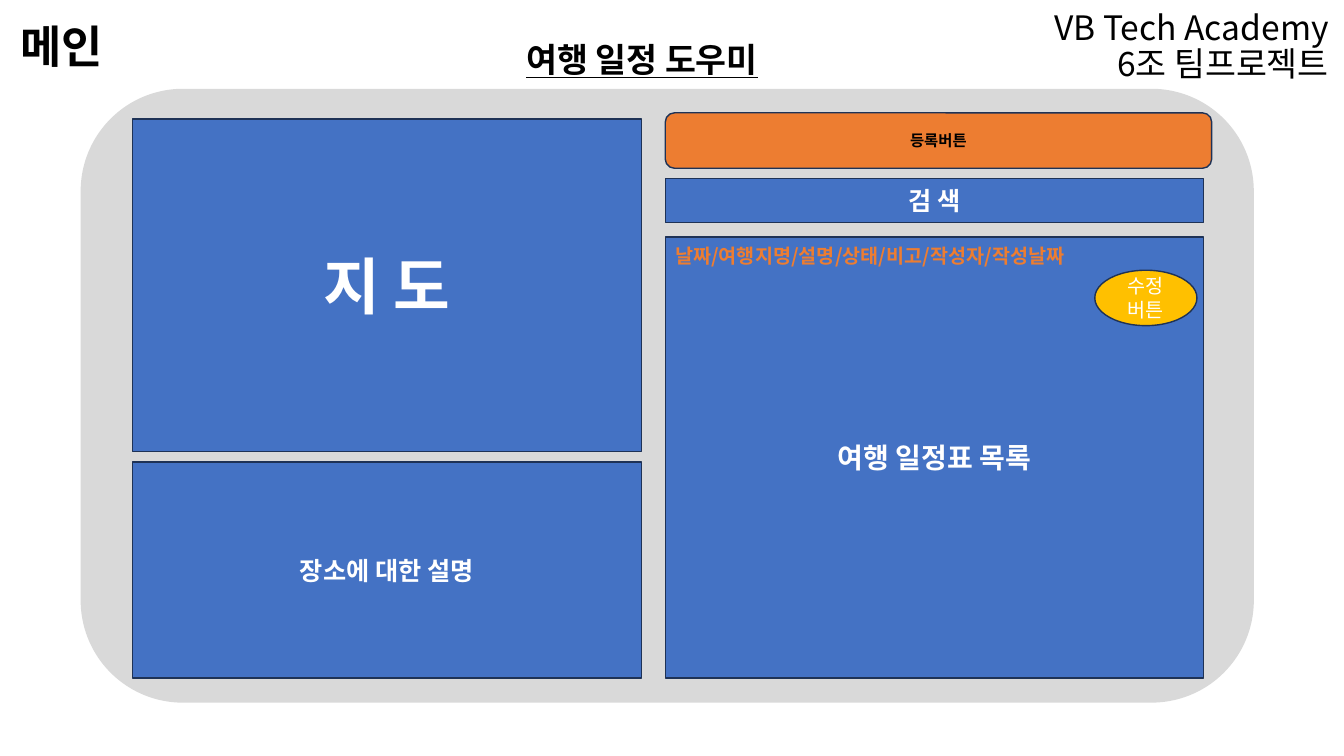
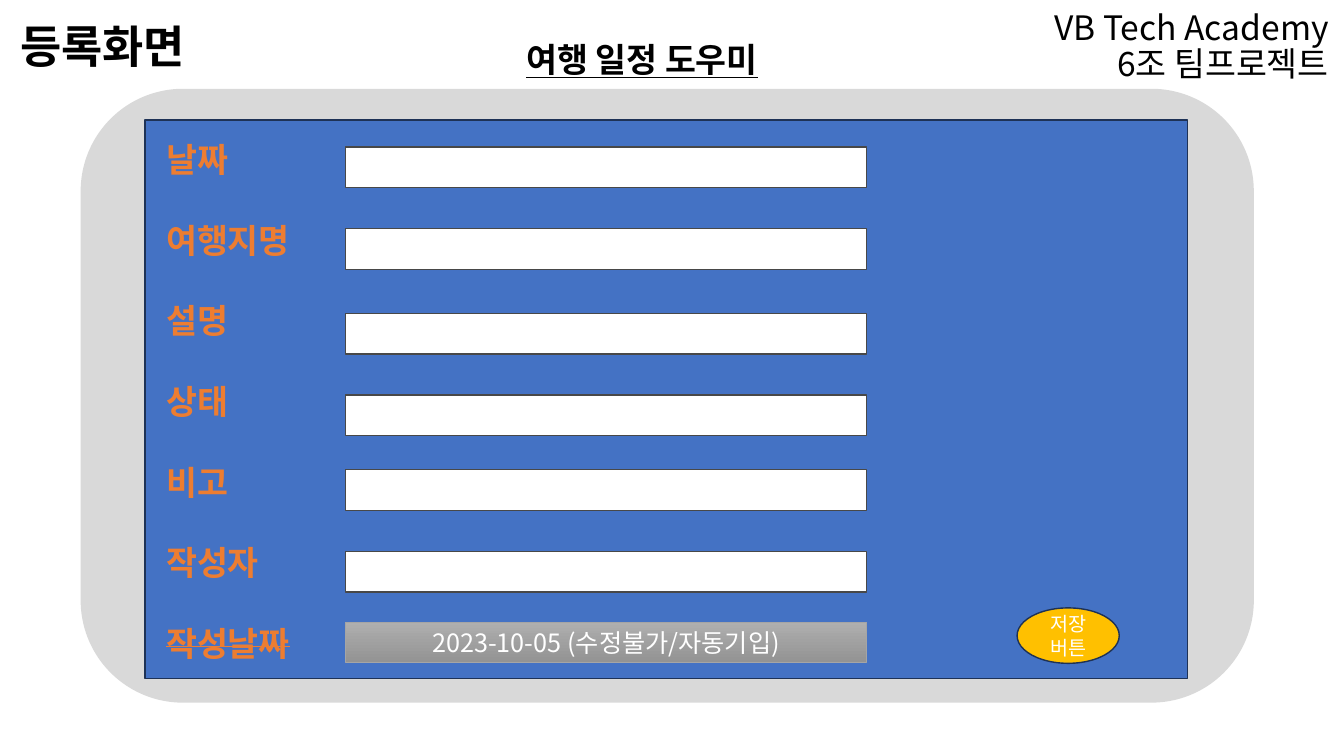
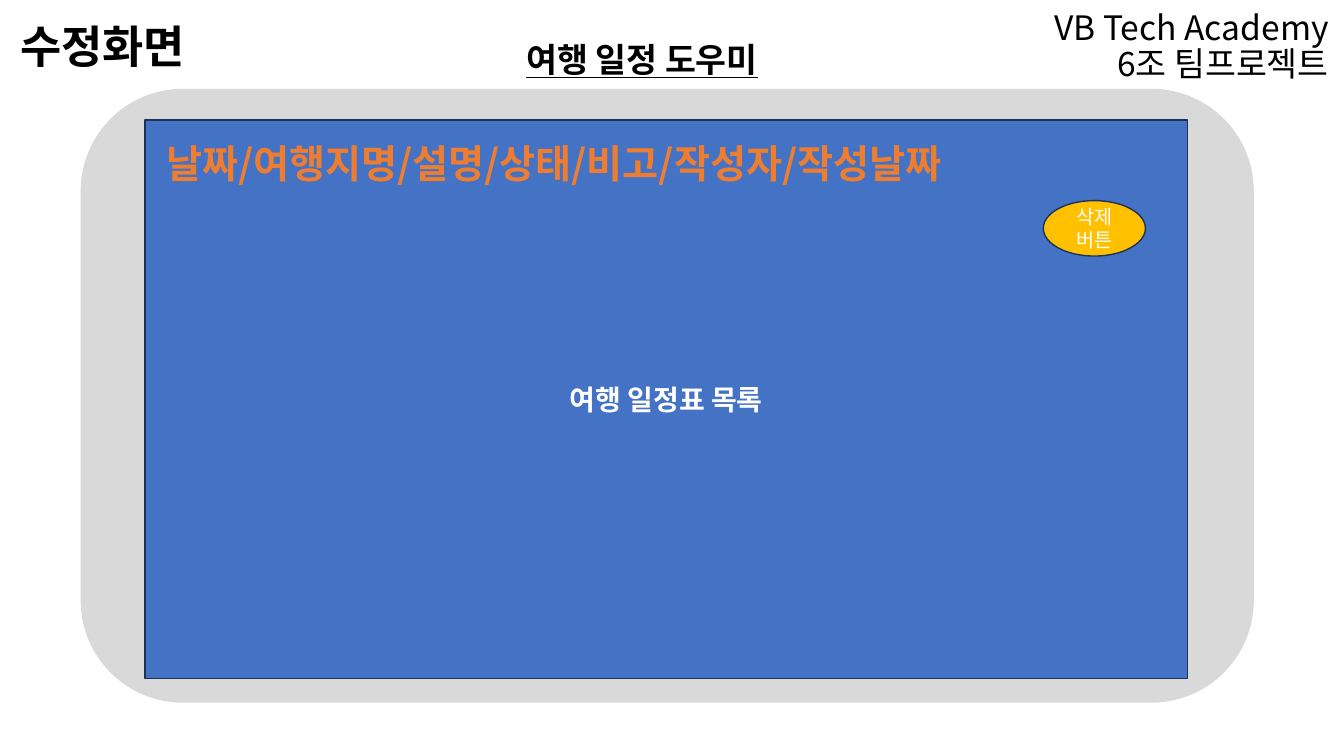
"""Build the three wireframe slides of a travel schedule helper."""
import dataclasses

import pptx
import pptx.dml.color
import pptx.enum.shapes
import pptx.enum.text
import pptx.oxml.ns
import pptx.util
from lxml import etree

Pt = pptx.util.Pt
SHAPE = pptx.enum.shapes.MSO_SHAPE
ALIGN = pptx.enum.text.PP_ALIGN
ANCHOR = pptx.enum.text.MSO_ANCHOR


@dataclasses.dataclass(frozen=True)
class Theme:
    font: str = "Noto Sans CJK KR"
    ink: str = "000000"
    white: str = "FFFFFF"
    backdrop: str = "D9D9D9"
    panel: str = "4472C4"
    outline: str = "1E3256"
    accent: str = "ED7D31"
    button: str = "FFC000"
    field_outline: str = "484848"
    locked: tuple = ("AFAFAF", "939393")
    locked_outline: str = "A5A5A5"
    screen_size: int = 32
    map_size: int = 44
    columns_size: int = 28
    header_size: int = 24
    list_size: int = 20
    body_size: int = 18
    small_size: int = 14
    register_size: int = 11


THEME = Theme()
COLUMNS = ("날짜", "여행지명", "설명", "상태", "비고", "작성자", "작성날짜")
FIELD_TOPS = (105.1, 163.4, 223.9, 282.2, 335.5, 393.8)
LOCKED_TOP = 444.2
FORM_PANEL = (103.7, 85.7, 744.5, 398.9)
LINE_HEIGHT = 1.2


def rgb(color):
    return pptx.dml.color.RGBColor.from_string(color)


def write(frame, text, size, color, bold=False, align=ALIGN.LEFT,
          anchor=ANCHOR.TOP, spacing=None, gap=0):
    """Fill a text frame with one paragraph per line of text."""
    frame.word_wrap = True
    frame.auto_size = pptx.enum.text.MSO_AUTO_SIZE.NONE
    frame.vertical_anchor = anchor
    frame.text = text
    for index, paragraph in enumerate(frame.paragraphs):
        paragraph.alignment = align
        if spacing:
            paragraph.line_spacing = spacing
        if gap and index:
            paragraph.space_before = Pt(gap)
        font = paragraph.font
        font.size = Pt(size)
        font.bold = bold
        font.color.rgb = rgb(color)
        font.name = THEME.font
        properties = paragraph._p.pPr.find(pptx.oxml.ns.qn("a:defRPr"))
        east_asian = etree.SubElement(properties, pptx.oxml.ns.qn("a:ea"))
        east_asian.set("typeface", THEME.font)
    return frame.paragraphs


def add_text(slide, box, text, size, color, **style):
    label = slide.shapes.add_textbox(*map(Pt, box))
    return write(label.text_frame, text, size, color, **style)


def add_block(slide, box, fill, kind=SHAPE.RECTANGLE, outline=THEME.outline,
              width=1, text="", size=THEME.body_size, color=THEME.white, bold=True):
    """Add a preset shape with an optional centred caption."""
    block = slide.shapes.add_shape(kind, *map(Pt, box))
    block.shadow.inherit = False
    if isinstance(fill, tuple):
        block.fill.gradient()
        block.fill.gradient_angle = 270
        for stop, shade in zip(block.fill.gradient_stops, fill):
            stop.color.rgb = rgb(shade)
    else:
        block.fill.solid()
        block.fill.fore_color.rgb = rgb(fill)
    if outline:
        block.line.color.rgb = rgb(outline)
        block.line.width = Pt(width)
    else:
        block.line.fill.background()
    if text:
        write(block.text_frame, text, size, color, bold=bold,
              align=ALIGN.CENTER, anchor=ANCHOR.MIDDLE)


def add_button(slide, left, top, text):
    add_block(slide, (left, top, 73, 39.6), THEME.button, SHAPE.OVAL,
              text=text, size=THEME.small_size, bold=False)


def add_screen(deck, name):
    """Add a slide with the shared header and backdrop."""
    slide = deck.slides.add_slide(deck.slide_layouts[5])
    title = slide.shapes.title
    title.left, title.top, title.width, title.height = map(Pt, (7.2, 9.4, 174, 46))
    write(title.text_frame, name, THEME.screen_size, THEME.ink, bold=True)
    add_text(slide, (236.2, 0, 720, 63.4), "VB Tech Academy\v6조 팀프로젝트",
             THEME.header_size, THEME.ink, align=ALIGN.RIGHT,
             anchor=ANCHOR.BOTTOM, spacing=0.9)
    product = add_text(slide, (98.6, 27.4, 720, 36), "여행 일정 도우미",
                       THEME.header_size, THEME.ink, bold=True,
                       align=ALIGN.CENTER, spacing=0.9)
    product[0].font.underline = True
    add_block(slide, (57.6, 63.4, 838, 438.5), THEME.backdrop,
              SHAPE.ROUNDED_RECTANGLE, outline=None)
    return slide


def build_main_screen(deck):
    slide = add_screen(deck, "메인")
    panels = (
        ((94.5, 85, 363.6, 237.6), "지 도", THEME.map_size),
        ((94.5, 329.9, 363.6, 154.4), "장소에 대한 설명", THEME.body_size),
        ((475.2, 127.4, 384.5, 31.7), "검 색", THEME.body_size),
        ((475.2, 169.2, 384.5, 315.2), "여행 일정표 목록", THEME.list_size),
    )
    for box, caption, size in panels:
        add_block(slide, box, THEME.panel, text=caption, size=size)
    add_text(slide, (475.2, 170.6, 368, 24.5), "/".join(COLUMNS),
             THEME.small_size, THEME.accent, bold=True)
    add_button(slide, 782, 193, "수정버튼")
    add_block(slide, (475.2, 80.6, 390.3, 39.6), THEME.accent,
              SHAPE.ROUNDED_RECTANGLE, text="등록버튼",
              size=THEME.register_size, color=THEME.ink)


def build_register_screen(deck):
    slide = add_screen(deck, "등록화면")
    add_block(slide, FORM_PANEL, THEME.panel)
    labels = add_text(slide, (111.6, 95.8, 130, 385), "\n".join(COLUMNS),
                      THEME.header_size, THEME.accent, bold=True,
                      gap=THEME.header_size * LINE_HEIGHT)
    labels[-1]._p.pPr.find(pptx.oxml.ns.qn("a:defRPr")).set("strike", "sngStrike")
    for top in FIELD_TOPS:
        add_block(slide, (246.8, top, 372.2, 29), THEME.white,
                  outline=THEME.field_outline)
    add_block(slide, (246.8, LOCKED_TOP, 372.2, 29), THEME.locked,
              outline=THEME.locked_outline, width=0.5,
              text="2023-10-05 (수정불가/자동기입)", bold=False)
    add_button(slide, 726.5, 434.2, "저장버튼")


def build_edit_screen(deck):
    slide = add_screen(deck, "수정화면")
    add_block(slide, FORM_PANEL, THEME.panel, text="여행 일정표 목록",
              size=THEME.list_size)
    add_text(slide, (111.6, 95.8, 711.4, 41), "/".join(COLUMNS),
             THEME.columns_size, THEME.accent, bold=True)
    add_button(slide, 745.2, 143.3, "삭제\n버튼")


def main():
    deck = pptx.Presentation()
    deck.slide_width, deck.slide_height = Pt(960), Pt(540)
    build_main_screen(deck)
    build_register_screen(deck)
    build_edit_screen(deck)
    deck.save("out.pptx")


if __name__ == "__main__":
    main()
